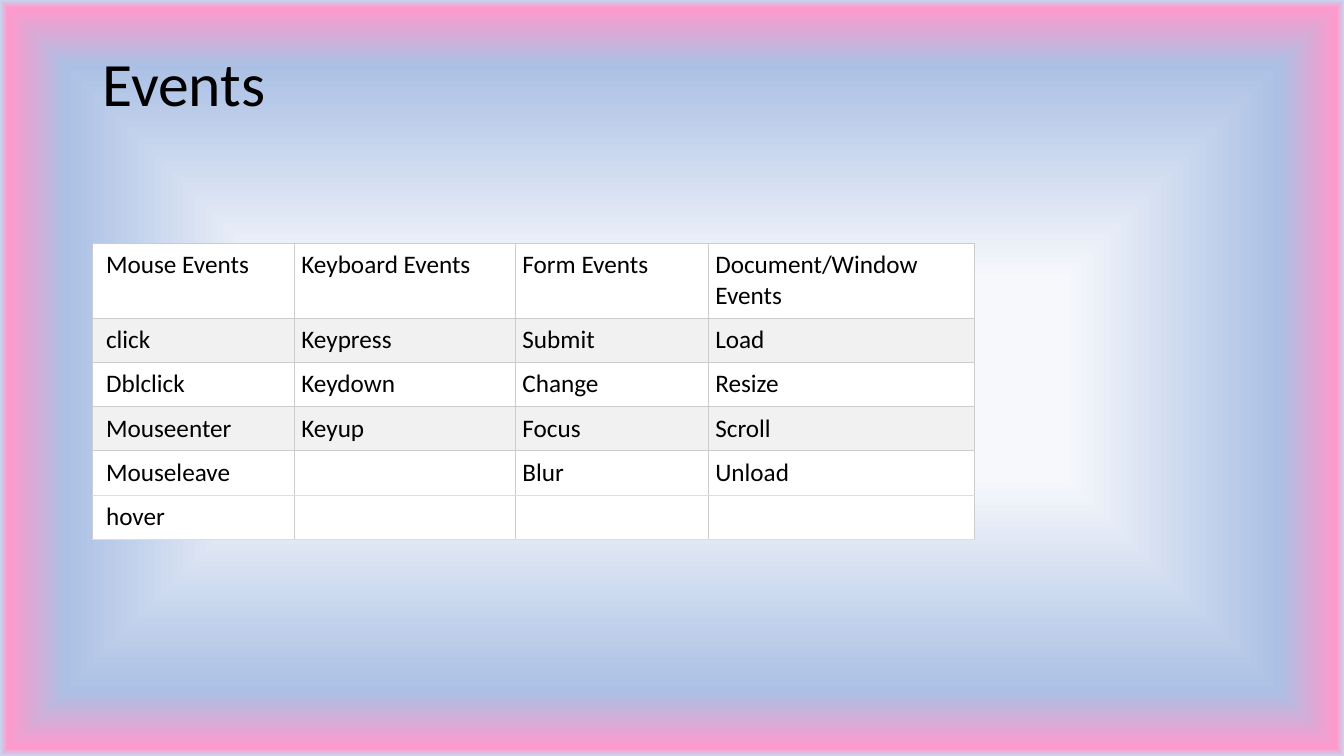
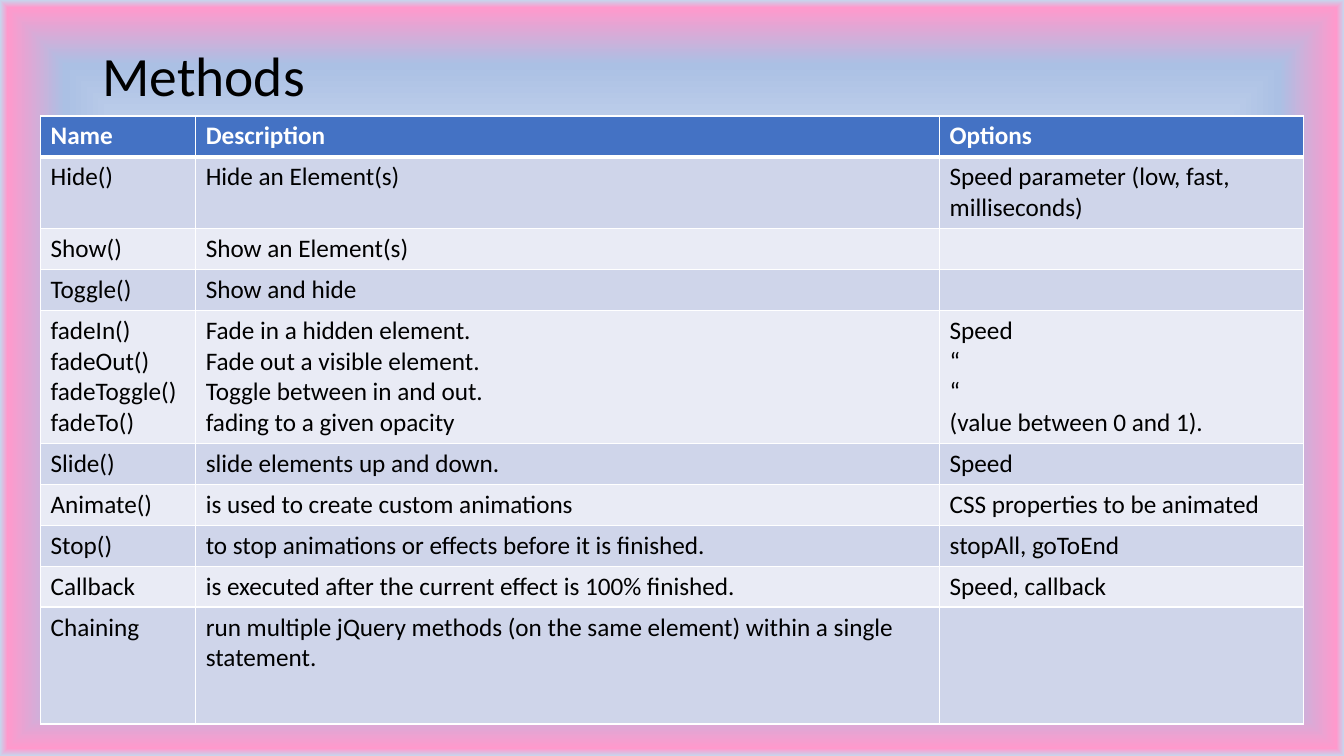
import pptx
import pptx.util
import pptx.dml.color
import pptx.enum.text
import pptx.oxml
import pptx.oxml.ns

Pt = pptx.util.Pt
FONT = "Calibri"
BLACK, WHITE = "000000", "FFFFFF"
NAMESPACES = pptx.oxml.ns.nsdecls("a", "p")


def color(hex_value):
    return pptx.dml.color.RGBColor.from_string(hex_value)


def add_border(cell, side, hex_value, width):
    cell._tc.get_or_add_tcPr().append(pptx.oxml.parse_xml(
        f'<a:ln{side} {NAMESPACES} w="{Pt(width)}"><a:solidFill>'
        f'<a:srgbClr val="{hex_value}"/></a:solidFill></a:ln{side}>'))


# Deck and shared gradient background
deck = pptx.Presentation()
deck.slide_width, deck.slide_height = Pt(960), Pt(540)
gradient = [(26, "F6F8FC"), (83, "ABC0E4"), (98, "FF99CC"), (100, "C7D5ED")]
stops = "".join(f'<a:gs pos="{position * 1000}"><a:srgbClr val="{value}"/></a:gs>'
                for position, value in gradient)
canvas = deck.slide_master.element.cSld
for old_background in canvas.findall(pptx.oxml.ns.qn("p:bg")):
    canvas.remove(old_background)
canvas.insert(0, pptx.oxml.parse_xml(
    f'<p:bg {NAMESPACES}><p:bgPr><a:gradFill rotWithShape="1"><a:gsLst>{stops}</a:gsLst>'
    '<a:path path="shape"><a:fillToRect l="50000" t="50000" r="50000" b="50000"/></a:path>'
    '</a:gradFill><a:effectLst/></p:bgPr></p:bg>'))

# Contents: "rules" overrides the border on numbered horizontal grid lines
events = {
    "title": "Events", "title_size": 44, "title_height": 66,
    "left": 66.2, "top": 173.6,
    "widths": [144.3, 157.9, 137.8, 190],
    "heights": [53.6] + [31.6] * 5,
    "margins": (4.8, 4.8), "first_margin": 9.6,
    "border": ("CCCCCC", 0.6), "rules": {5: ("DDDDDD", 0.6), 6: ("DDDDDD", 0.6)},
    "header": (WHITE, BLACK, False), "bands": ["F1F1F1", WHITE, "F1F1F1", WHITE, WHITE],
    "rows": [
        ["Mouse Events", "Keyboard Events", "Form Events", "Document/Window Events"],
        ["click", "Keypress", "Submit", "Load"],
        ["Dblclick", "Keydown", "Change", "Resize"],
        ["Mouseenter", "Keyup", "Focus", "Scroll"],
        ["Mouseleave", "", "Blur", "Unload"],
        ["hover", "", "", ""],
    ],
}
methods = {
    "title": "Methods", "title_size": 39.6, "title_height": 54,
    "left": 29, "top": 82.8,
    "widths": [110.8, 531.4, 260.2],
    "heights": [29.2, 51.2, 29.2, 29.2, 95.2, 29.2, 29.2, 29.2, 29.2, 83.6],
    "margins": (7.2, 3.6), "first_margin": 7.2,
    "border": (WHITE, 1), "rules": {1: (WHITE, 3)},
    "header": ("4472C4", WHITE, True), "bands": ["CFD5EA", "E9EBF5"],
    "rows": [
        ["Name", "Description", "Options"],
        ["Hide()", "Hide an Element(s)", "Speed parameter (low, fast, milliseconds)"],
        ["Show()", "Show an Element(s)", ""],
        ["Toggle()", "Show and hide", ""],
        ["fadeIn()\nfadeOut()\nfadeToggle()\nfadeTo()",
         "Fade in a hidden element.\nFade out a visible element.\n"
         "Toggle between in and out.\nfading to a given opacity",
         "Speed\n“\n“\n(value between 0 and 1)."],
        ["Slide()", "slide elements up and down.", "Speed"],
        ["Animate()", "is used to create custom animations", "CSS properties to be animated"],
        ["Stop()", "to stop animations or effects before it is finished.", "stopAll, goToEnd"],
        ["Callback", "is executed after the current effect is 100% finished.",
         "Speed, callback"],
        ["Chaining", "run multiple jQuery methods (on the same element) "
         "within a single statement.", ""],
    ],
}

for content in (events, methods):
    page = deck.slides.add_slide(deck.slide_layouts[5])

    # Title
    title = page.shapes.title
    title.left, title.top = Pt(66), Pt(28.8)
    title.width, title.height = Pt(828), Pt(content["title_height"])
    title.text_frame.text = content["title"]
    title.text_frame.auto_size = pptx.enum.text.MSO_AUTO_SIZE.NONE
    title.text_frame.vertical_anchor = pptx.enum.text.MSO_ANCHOR.MIDDLE
    para = title.text_frame.paragraphs[0]
    para.alignment = pptx.enum.text.PP_ALIGN.LEFT
    para.line_spacing = 0.9
    para.font.name, para.font.size = FONT, Pt(content["title_size"])
    para.font.color.rgb = color(BLACK)

    # Table grid
    rows, widths, heights = content["rows"], content["widths"], content["heights"]
    table = page.shapes.add_table(
        len(rows), len(widths), Pt(content["left"]), Pt(content["top"]),
        Pt(sum(widths)), Pt(sum(heights))).table
    table.horz_banding = False
    for column, width in zip(table.columns, widths):
        column.width = Pt(width)
    for table_row, height in zip(table.rows, heights):
        table_row.height = Pt(height)

    # Table cells
    side_margin, end_margin = content["margins"]
    border, rules, bands = content["border"], content["rules"], content["bands"]
    for row, texts in enumerate(rows):
        if row == 0:
            fill, ink, bold = content["header"]
        else:
            fill, ink, bold = bands[(row - 1) % len(bands)], BLACK, False
        for column, text in enumerate(texts):
            cell = table.cell(row, column)
            cell.text = text
            cell.margin_left = Pt(side_margin if column else content["first_margin"])
            cell.margin_right = Pt(side_margin)
            cell.margin_top = cell.margin_bottom = Pt(end_margin)
            add_border(cell, "L", *border)
            add_border(cell, "R", *border)
            add_border(cell, "T", *rules.get(row, border))
            add_border(cell, "B", *rules.get(row + 1, border))
            cell.fill.solid()
            cell.fill.fore_color.rgb = color(fill)
            for para in cell.text_frame.paragraphs:
                para.font.name, para.font.size = FONT, Pt(18)
                para.font.bold = bold
                para.font.color.rgb = color(ink)

deck.save("out.pptx")
